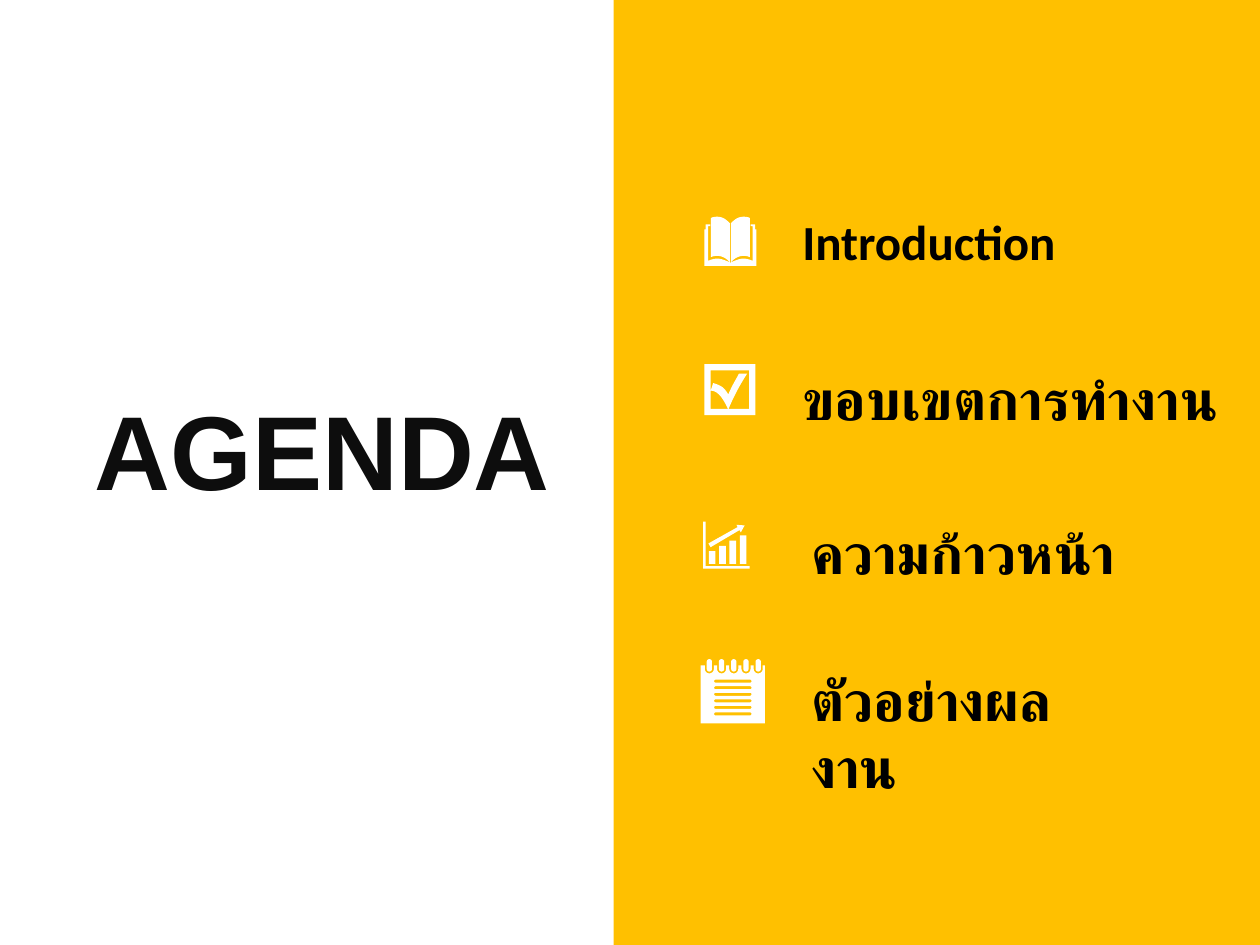
import dataclasses
import math

import pptx
import pptx.dml.color
import pptx.enum.lang
import pptx.enum.shapes
import pptx.enum.text
import pptx.util

COLUMNS, ROWS = 1000, 750
CELL = pptx.util.Inches(10) / COLUMNS
BLACK, WHITE, AMBER, CHARCOAL = "000000", "FFFFFF", "FFC000", "0D0D0D"
THAI = pptx.enum.lang.MSO_LANGUAGE_ID.THAI
ENGLISH = pptx.enum.lang.MSO_LANGUAGE_ID.ENGLISH_US

Point = tuple[float, float]
Contour = list[Point]


@dataclasses.dataclass(frozen=True)
class Box:
    """A place on the slide grid."""
    column: float
    row: float
    columns: float
    rows: float


@dataclasses.dataclass(frozen=True)
class AgendaItem:
    """An agenda topic with its icon outlines and the icon's grid origin."""
    topic: str
    place: Box
    icon: list[Contour]
    origin: Point
    size: float = 32
    language: int = THAI


def cells(count: float) -> int:
    """Convert grid cells to a length."""
    return pptx.util.Emu(round(count * CELL))


def color(value: str) -> pptx.dml.color.RGBColor:
    """Turn a hex string into a colour."""
    return pptx.dml.color.RGBColor.from_string(value)


def paint(shape, fill: str) -> None:
    """Give a shape a flat fill without line or shadow."""
    shape.fill.solid()
    shape.fill.fore_color.rgb = color(fill)
    shape.line.fill.background()
    shape.shadow.inherit = False


def add_text(shapes, text: str, place: Box, *, size: float, font: str = "Calibri",
             ink: str = BLACK, language: int = ENGLISH, align=None, spacing=None,
             anchor=pptx.enum.text.MSO_ANCHOR.TOP, grow: bool = True) -> None:
    """Add a bold, wrapping text box."""
    box = shapes.add_textbox(cells(place.column), cells(place.row),
                             cells(place.columns), cells(place.rows))
    frame = box.text_frame
    frame.word_wrap = True
    frame.vertical_anchor = anchor
    fit = pptx.enum.text.MSO_AUTO_SIZE
    frame.auto_size = fit.SHAPE_TO_FIT_TEXT if grow else fit.NONE
    paragraph = frame.paragraphs[0]
    paragraph.alignment = align
    paragraph.line_spacing = spacing
    run = paragraph.add_run()
    run.text = text
    run.font.name = font
    run.font.size = pptx.util.Pt(size)
    run.font.bold = True
    run.font.color.rgb = color(ink)
    run.font.language_id = language


def rectangle(left: float, top: float, right: float, bottom: float) -> Contour:
    """Return the corners of a rectangle."""
    return [(left, top), (right, top), (right, bottom), (left, bottom)]


def arc(x: float, y: float, radius: float, start: int, end: int) -> Contour:
    """Return points along an arc, with angles in degrees."""
    angles = [math.radians(start + (end - start) * step / 8) for step in range(9)]
    return [(x + radius * math.cos(a), y + radius * math.sin(a)) for a in angles]


def curve(a: Point, b: Point, c: Point, d: Point) -> Contour:
    """Return points along a cubic Bezier curve."""
    steps = [step / 8 for step in range(9)]
    return [tuple((1 - t) ** 3 * p + 3 * (1 - t) ** 2 * t * q
                  + 3 * (1 - t) * t ** 2 * r + t ** 3 * s
                  for p, q, r, s in zip(a, b, c, d)) for t in steps]


def book() -> list[Contour]:
    """Outline an open book, mirrored about its spine."""
    page = (curve((0.5, 5), (3.5, 2), (6.5, 0), (10, 0))
            + curve((10, 0), (11.5, 0), (13.5, 0), (15.5, 1))
            + curve((15.5, 32), (10, 30), (5, 31), (0.5, 36)))
    cover = ([(0, 39), (20.7, 39), (20.7, 10), (19.7, 10), (19.7, 6), (16, 6),
              (16, 7.5), (17.7, 7.5)]
             + curve((17.7, 35), (11, 32), (7, 33), (0, 36.5)))
    return [[(20.7 + side * x, y) for x, y in half]
            for side in (-1, 1) for half in (page, cover)]


def checkbox() -> list[Contour]:
    """Outline a ticked box."""
    tick = (curve((19, 36), (16, 30), (12, 21), (5, 21))
            + curve((7, 15), (14, 17), (16, 19), (19, 24))
            + curve((19, 24), (22, 17), (24, 14), (27.5, 7.5))
            + curve((34, 7.5), (29, 15), (23, 26), (19, 36)))
    return [rectangle(0, 0, 40.5, 40.5), rectangle(5, 5, 35.5, 35.5), tick]


def growth_chart() -> list[Contour]:
    """Outline rising bars with an arrow and axes."""
    bars = [rectangle(4.6 + 8.2 * i, 23.5 - 4.2 * i, 9.9 + 8.2 * i, 33.5)
            for i in range(4)]
    arrow = [(26.5, 2.5), (33, 3), (30, 8.5), (29, 6.7), (6, 20.3),
             (4.3, 17.3), (27.5, 4.3)]
    axes = [(0, 0), (2, 0), (2, 35.3), (37, 35.3), (37, 37.2), (0, 37.2)]
    return [*bars, arrow, axes]


def notepad() -> list[Contour]:
    """Outline a ring-bound pad with ruled lines."""
    ring_centers = [7 + 9.7 * i for i in range(5)]
    edge = [(0, 5)]
    for x in ring_centers:
        edge += [(x - 3.6, 5), *arc(x, 7.9, 3.6, 180, 0), (x + 3.6, 5)]
    edge += [(51, 5), (51, 51), (0, 51)]
    rings = [arc(x, 2.2, 2.1, 180, 360) + arc(x, 7.9, 2.1, 0, 180)
             for x in ring_centers]
    rules = [arc(12, 17.6 + 5.2 * i, 1.2, 90, 270)
             + arc(39.3, 17.6 + 5.2 * i, 1.2, -90, 90) for i in range(6)]
    return [edge, *rings, *rules]


def add_icon(shapes, contours: list[Contour], origin: Point) -> None:
    """Draw outlines as one white freeform."""
    placed = [[(cells(origin[0] + x), cells(origin[1] + y)) for x, y in contour]
              for contour in contours]
    builder = shapes.build_freeform(*placed[0][0], scale=1.0)
    for index, contour in enumerate(placed):
        if index:
            builder.move_to(*contour[0])
        builder.add_line_segments(contour[1:], close=True)
    paint(builder.convert_to_shape(), WHITE)


def add_agenda_item(slide, item: AgendaItem) -> None:
    """Draw a topic and its icon as a group."""
    group = slide.shapes.add_group_shape()
    add_text(group.shapes, item.topic, item.place, size=item.size, language=item.language)
    add_icon(group.shapes, item.icon, item.origin)


def main() -> None:
    """Build the agenda slide."""
    deck = pptx.Presentation()
    deck.slide_width, deck.slide_height = cells(COLUMNS), cells(ROWS)
    slide = deck.slides.add_slide(deck.slide_layouts[6])
    panel = slide.shapes.add_shape(pptx.enum.shapes.MSO_SHAPE.RECTANGLE,
                                   cells(487), 0, cells(513), cells(ROWS))
    paint(panel, AMBER)
    add_text(slide.shapes, "AGENDA", Box(56, 276, 400, 136), size=60, font="Arial",
             ink=CHARCOAL, align=pptx.enum.text.PP_ALIGN.CENTER, spacing=0.9,
             anchor=pptx.enum.text.MSO_ANCHOR.BOTTOM, grow=False)
    agenda = [
        AgendaItem("Introduction", Box(627, 163, 284, 57), book(), (559, 172),
                   size=28, language=ENGLISH),
        AgendaItem("ขอบเขตการทำงาน", Box(627, 284, 356, 64), checkbox(), (559, 289)),
        AgendaItem("ความก้าวหน้า", Box(634, 407, 276, 64), growth_chart(), (558, 414)),
        AgendaItem("ตัวอย่างผลงาน", Box(634, 523, 255, 64), notepad(), (556, 523)),
    ]
    for item in agenda:
        add_agenda_item(slide, item)
    deck.save("out.pptx")


if __name__ == "__main__":
    main()
